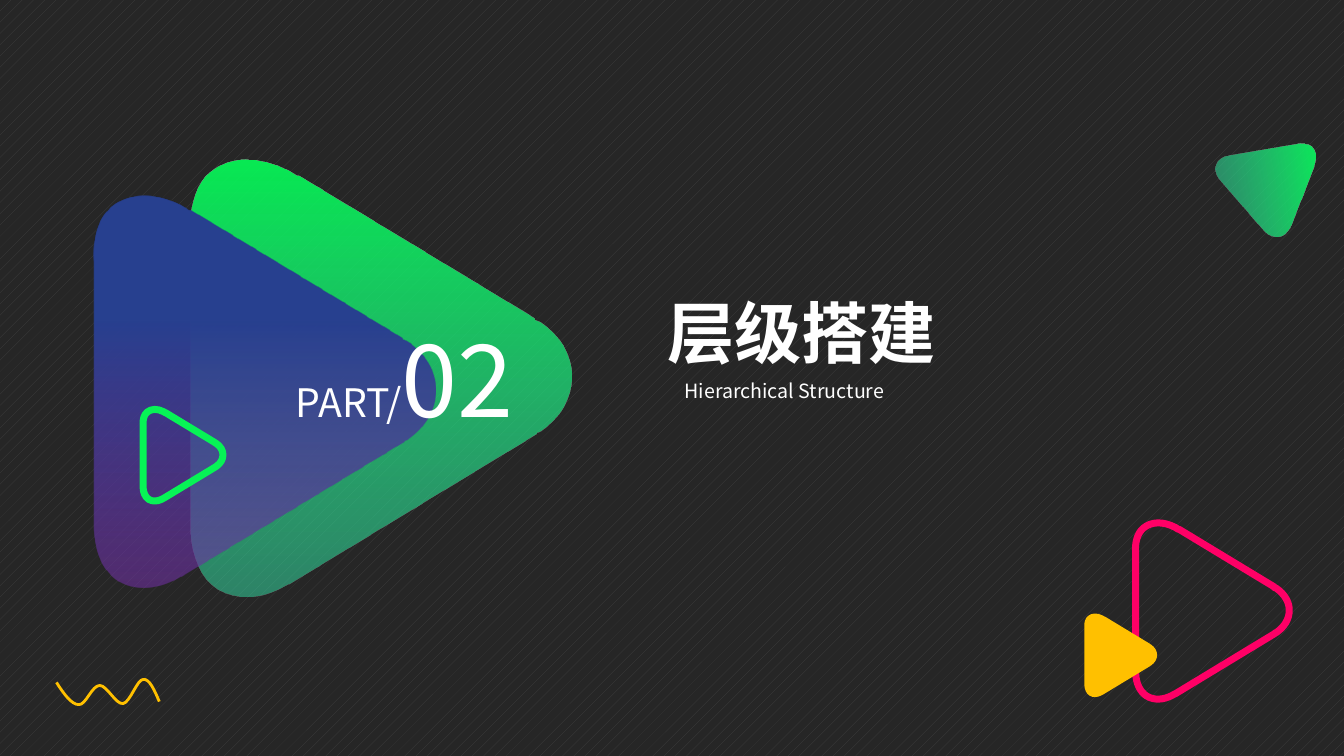
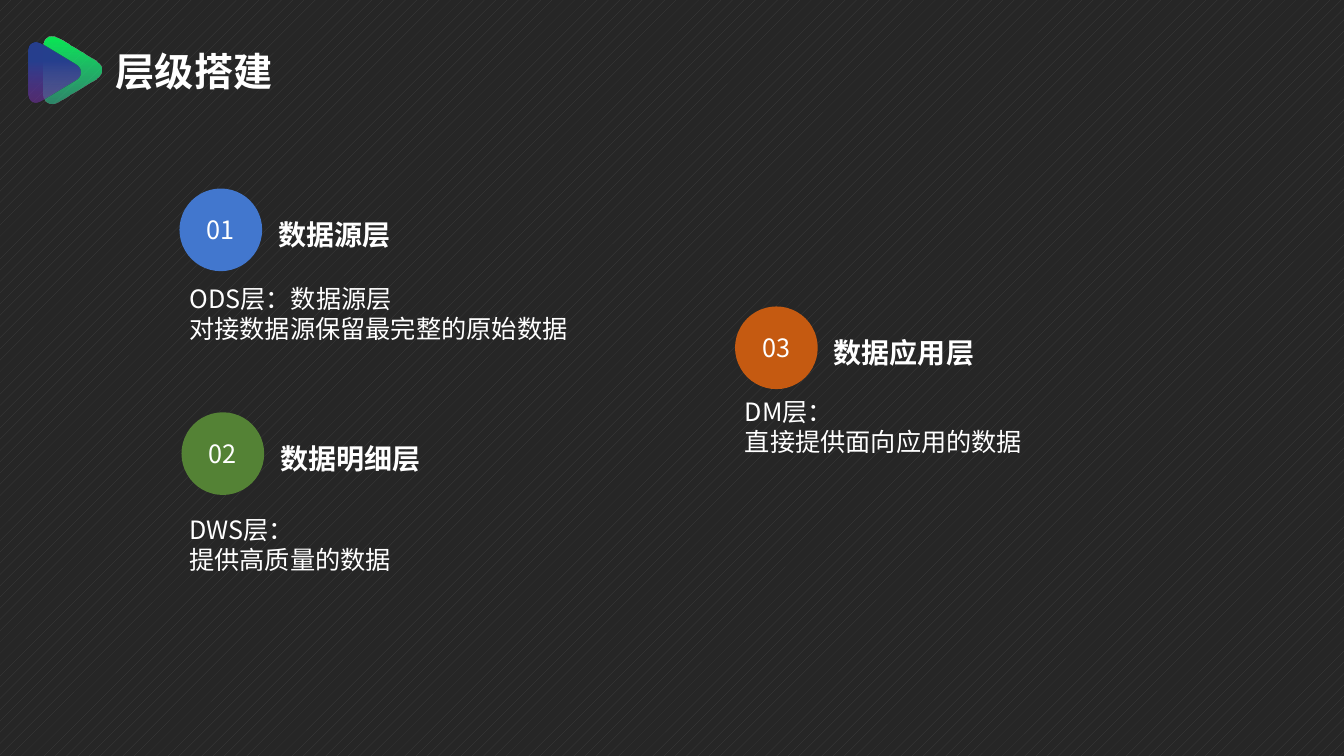
from lxml.etree import SubElement
from pptx import Presentation
from pptx.dml.color import RGBColor
from pptx.enum.dml import MSO_PATTERN
from pptx.enum.shapes import MSO_SHAPE
from pptx.enum.text import MSO_ANCHOR, MSO_AUTO_SIZE, PP_ALIGN
from pptx.oxml.ns import qn
from pptx.util import Inches, Pt

FONT = "Noto Sans CJK SC"
WHITE, GOLD, PINK, LIME = "FFFFFF", "FFC000", "FF0066", "07F356"
GREEN = [(0, "07F757", 94), (100, "36DEA6", 51)]
BLUE = [(31, "27408F", 100), (100, "7030A0", 58)]
TITLE = "层级搭建"

WIDE, HIGH = 4.34, 3.78
ROUND = [
    [(2.15, 0)],
    [(2.37, 0), (2.56, 0.12), (2.7, 0.32)],
    [(2.71, 0.35)],
    [(2.72, 0.35)],
    [(4.21, 2.81)],
    [(4.21, 2.82)],
    [(4.25, 2.89)],
    [(4.36, 3.11), (4.37, 3.33), (4.26, 3.51)],
    [(4.15, 3.68), (3.94, 3.77), (3.69, 3.78)],
    [(3.65, 3.78)],
    [(3.64, 3.78)],
    [(0.75, 3.78)],
    [(0.74, 3.78)],
    [(0.49, 3.8), (0.26, 3.74), (0.13, 3.59)],
    [(-0.04, 3.39), (-0.04, 3.1), (0.11, 2.81)],
    [(0.16, 2.73)],
    [(0.16, 2.71)],
    [(1.57, 0.38)],
    [(1.58, 0.37)],
    [(1.59, 0.37)],
    [(1.61, 0.32)],
    [(1.75, 0.12), (1.94, 0), (2.15, 0)],
]
WAVE = [
    [(0, 0.03)],
    [(0.07, 0.14), (0.15, 0.25), (0.22, 0.25)],
    [(0.29, 0.26), (0.35, 0.06), (0.43, 0.06)],
    [(0.5, 0.06), (0.59, 0.25), (0.66, 0.24)],
    [(0.73, 0.23), (0.8, 0), (0.86, 0)],
    [(0.92, -0.01), (0.97, 0.1), (1.02, 0.22)],
]


def color(code):
    """Turn a hex string into a colour."""
    return RGBColor.from_string(code)


def bend(shape, path, frame):
    """Join the points of each curve and fit the outline to its frame."""
    trail = next(shape._element.iter(qn("a:path")))
    left, top, width, height = frame
    for spot in trail.iter(qn("a:pt")):
        spot.set("x", str(int(spot.get("x")) + shape.left - left))
        spot.set("y", str(int(spot.get("y")) + shape.top - top))
    trail.set("w", str(width))
    trail.set("h", str(height))
    shape.left, shape.top, shape.width, shape.height = frame
    legs = iter(trail.findall(qn("a:lnTo")))
    for part in path[1:]:
        leg = next(legs)
        if len(part) == 3:
            curve = trail.makeelement(qn("a:cubicBezTo"))
            leg.addprevious(curve)
            for step in (leg, next(legs), next(legs)):
                curve.append(step[0])
                trail.remove(step)


def draw(slide, path, box, scale=1, line=None, width=0, close=True):
    """Draw a path of lines and curves in a box, with an optional line."""
    x, y, _, _ = box
    dots = [(Inches(x + u * scale), Inches(y + v * scale))
            for part in path for u, v in part]
    pen = slide.shapes.build_freeform(*dots[0], scale=1.0)
    pen.add_line_segments(dots[1:], close=close)
    shape = pen.convert_to_shape()
    bend(shape, path, [Inches(n) for n in box])
    shape.shadow.inherit = False
    shape.fill.background()
    if line:
        shape.line.color.rgb = color(line)
        shape.line.width = Pt(width)
    else:
        shape.line.fill.background()
    return shape


def play(slide, x, y, w, fill=None, line=None, turn=90):
    """Draw a rounded triangle, filled plain, filled by stops or outlined."""
    scale = w / WIDE
    shape = draw(slide, ROUND, (x, y, w, HIGH * scale), scale, line, 5)
    shape.rotation = turn
    if isinstance(fill, str):
        shape.fill.solid()
        shape.fill.fore_color.rgb = color(fill)
    elif fill:
        shape.fill.gradient()
        shape.fill.gradient_angle = 0
        for stop, (place, code, _) in zip(shape.fill.gradient_stops, fill):
            stop.position = place / 100
            stop.color.rgb = color(code)
        tints = list(shape._element.spPr.iter(qn("a:srgbClr")))
        for tint, (_, _, alpha) in zip(tints, fill):
            if alpha < 100:
                SubElement(tint, qn("a:alpha")).set("val", str(alpha * 1000))


def mark(slide, x, y, w):
    """Draw the green and blue triangle pair, sized by the green one."""
    scale = w / WIDE
    play(slide, x, y, w, GREEN)
    play(slide, x - 0.93 * scale, y + 0.33 * scale, 3.89 * scale, BLUE)


def style(para, size=None, bold=None):
    """Give a paragraph the shared white font."""
    font = para.font
    font.name = FONT
    font.color.rgb = color(WHITE)
    font.bold = bold
    if size:
        font.size = Pt(size)
    base = para._p.pPr.find(qn("a:defRPr"))
    SubElement(base, qn("a:ea")).set("typeface", FONT)


def label(slide, box, lines, size=None, bold=None):
    """Add a text box with one paragraph for each line."""
    frame = slide.shapes.add_textbox(*map(Inches, box)).text_frame
    frame.word_wrap = True
    frame.auto_size = MSO_AUTO_SIZE.SHAPE_TO_FIT_TEXT
    frame.text = "\n".join(lines)
    for para in frame.paragraphs:
        style(para, size, bold)
    return frame


def layer(slide, x, y, code, fill, name, lines, shift, drop):
    """Place a numbered badge, its heading and the text below."""
    badge = slide.shapes.add_shape(MSO_SHAPE.OVAL, *map(Inches, (x, y, 0.82, 0.82)))
    badge.shadow.inherit = False
    badge.fill.solid()
    badge.fill.fore_color.rgb = color(fill)
    badge.line.fill.background()
    frame = badge.text_frame
    frame.vertical_anchor = MSO_ANCHOR.MIDDLE
    frame.text = code
    frame.paragraphs[0].alignment = PP_ALIGN.CENTER
    style(frame.paragraphs[0], 18)
    head = label(slide, (x + 0.98, y + 0.12, 3.15, 0.45), [name], 20, True)
    head.margin_left = head.margin_right = head.margin_top = head.margin_bottom = 0
    head.paragraphs[0].line_spacing = 1.5
    label(slide, (x + shift, y + drop, 6.04, 0.71), lines, 18)


def cover(slide):
    """Build the section opener."""
    play(slide, 11.15, 5.3, 1.75, line=PINK)
    play(slide, 10.7, 6.14, 0.83, GOLD)
    mark(slide, 1.61, 1.86, WIDE)
    part = label(slide, (1.9, 3.09, 3.29, 1.31), [""]).paragraphs[0]
    part.alignment = PP_ALIGN.RIGHT
    for text, size in (("PART/", 28), ("02", 72)):
        run = part.add_run()
        run.text = text
        run.font.size = Pt(size)
    play(slide, 1.36, 4.12, 0.91, line=LIME)
    play(slide, 12.1, 1.48, 1, GREEN, turn=170.3)
    draw(slide, WAVE, (0.56, 6.74, 1.02, 0.25), line=GOLD, width=2, close=False)
    label(slide, (6.52, 2.84, 4.41, 0.91), [TITLE], 48, True)
    label(slide, (6.69, 3.71, 5.88, 0.34), ["Hierarchical Structure"], 14)


def layers(slide):
    """Build the slide of the three data layers."""
    mark(slide, 0.39, 0.41, 0.66)
    label(slide, (1.05, 0.42, 2.88, 0.57), [TITLE], 28, True)
    layer(slide, 1.78, 1.87, "01", "4277CE", "数据源层",
          ["ODS层：数据源层", "对接数据源保留最完整的原始数据"], 0, 0.89)
    layer(slide, 1.8, 4.09, "02", "548235", "数据明细层",
          ["DWS层：", "提供高质量的数据"], -0.02, 0.96)
    layer(slide, 7.29, 3.04, "03", "C55A11", "数据应用层",
          ["DM层：", "直接提供面向应用的数据"], 0, 0.84)


def main():
    """Build and save the deck."""
    deck = Presentation()
    deck.slide_width, deck.slide_height = Inches(13.33), Inches(7.5)
    back = deck.slide_master.background.fill
    back.patterned()
    back.pattern = MSO_PATTERN.PERCENT_10
    back.fore_color.rgb = color("404040")
    back.back_color.rgb = color("262626")
    for build in (cover, layers):
        build(deck.slides.add_slide(deck.slide_layouts[6]))
    deck.save("out.pptx")


if __name__ == "__main__":
    main()
